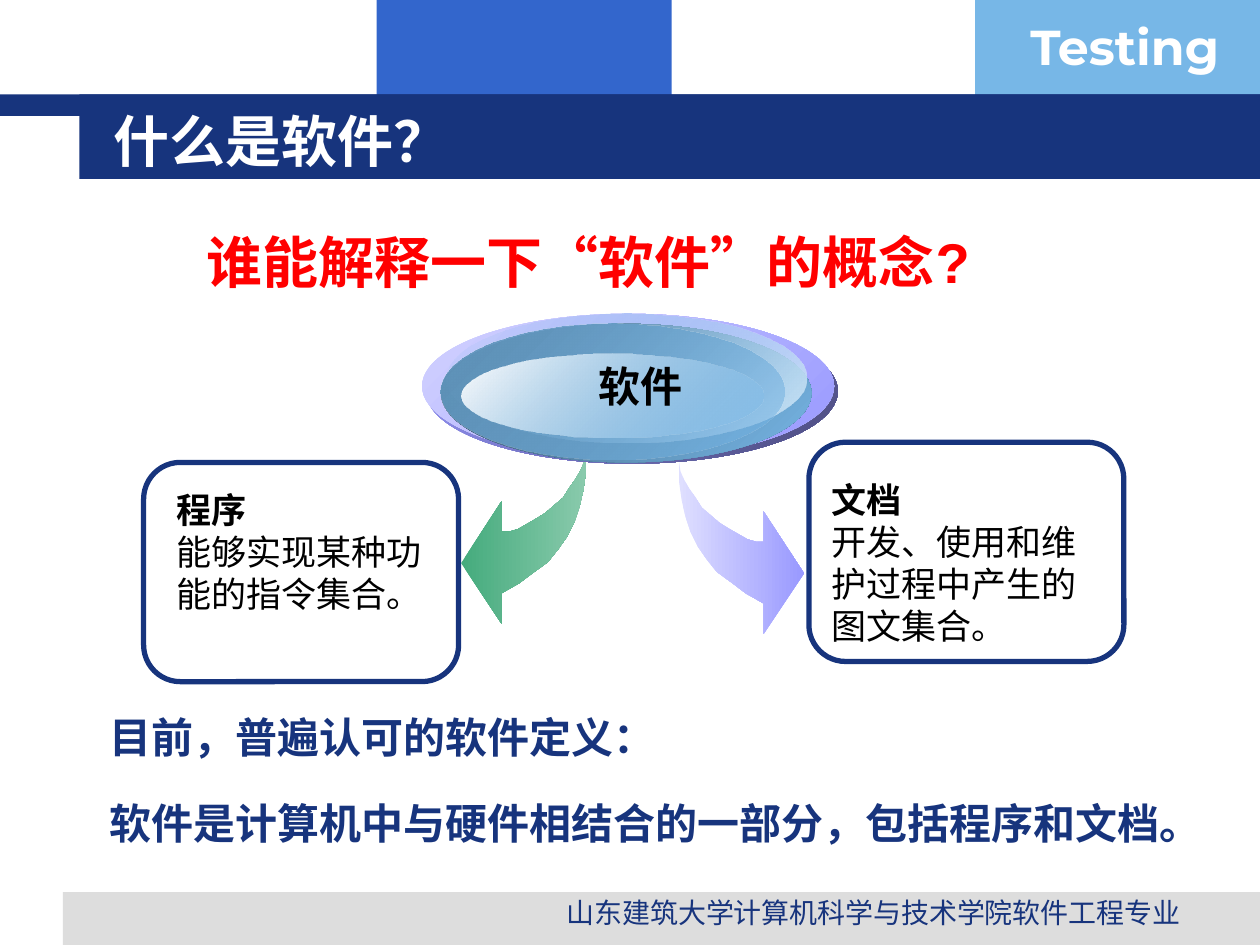
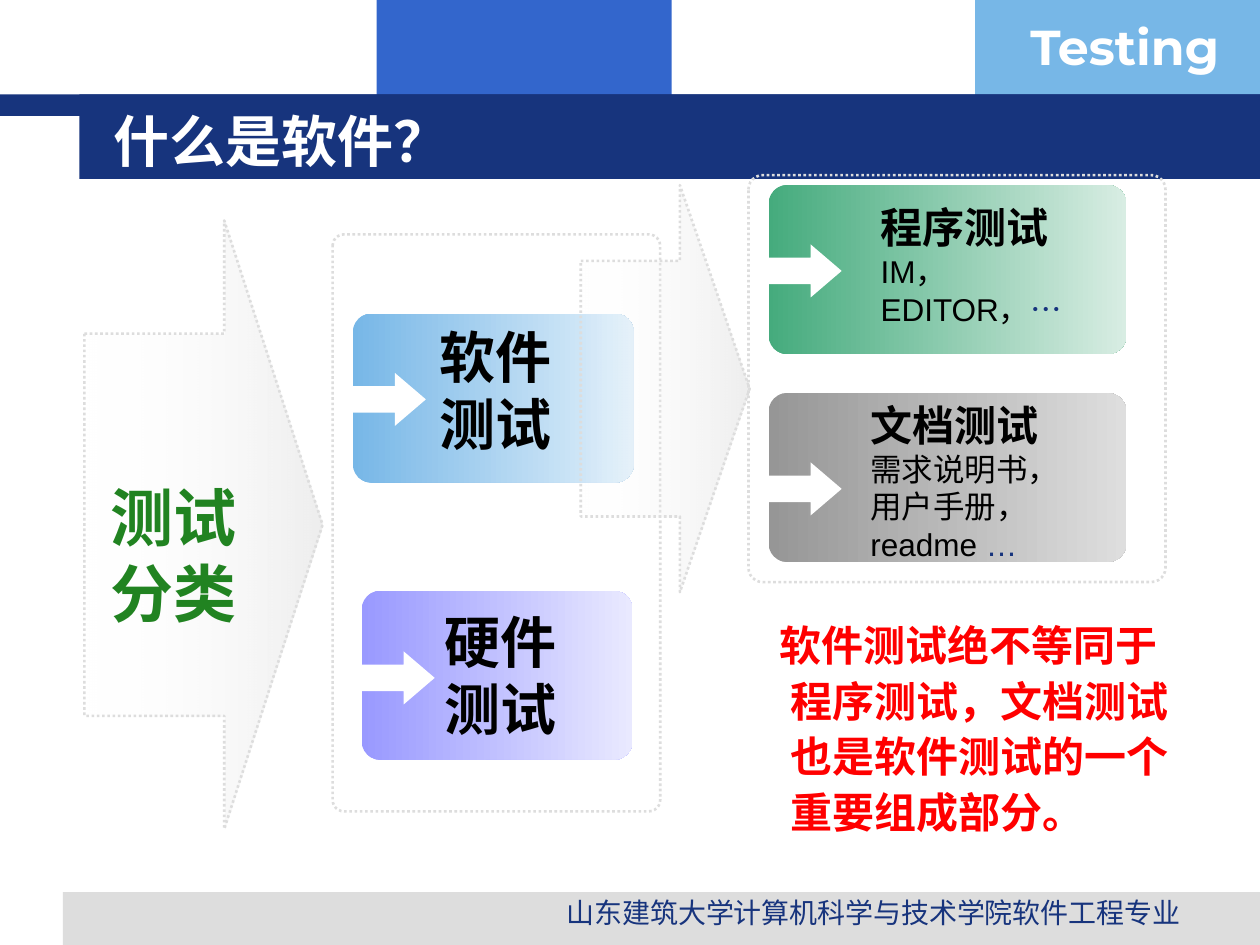
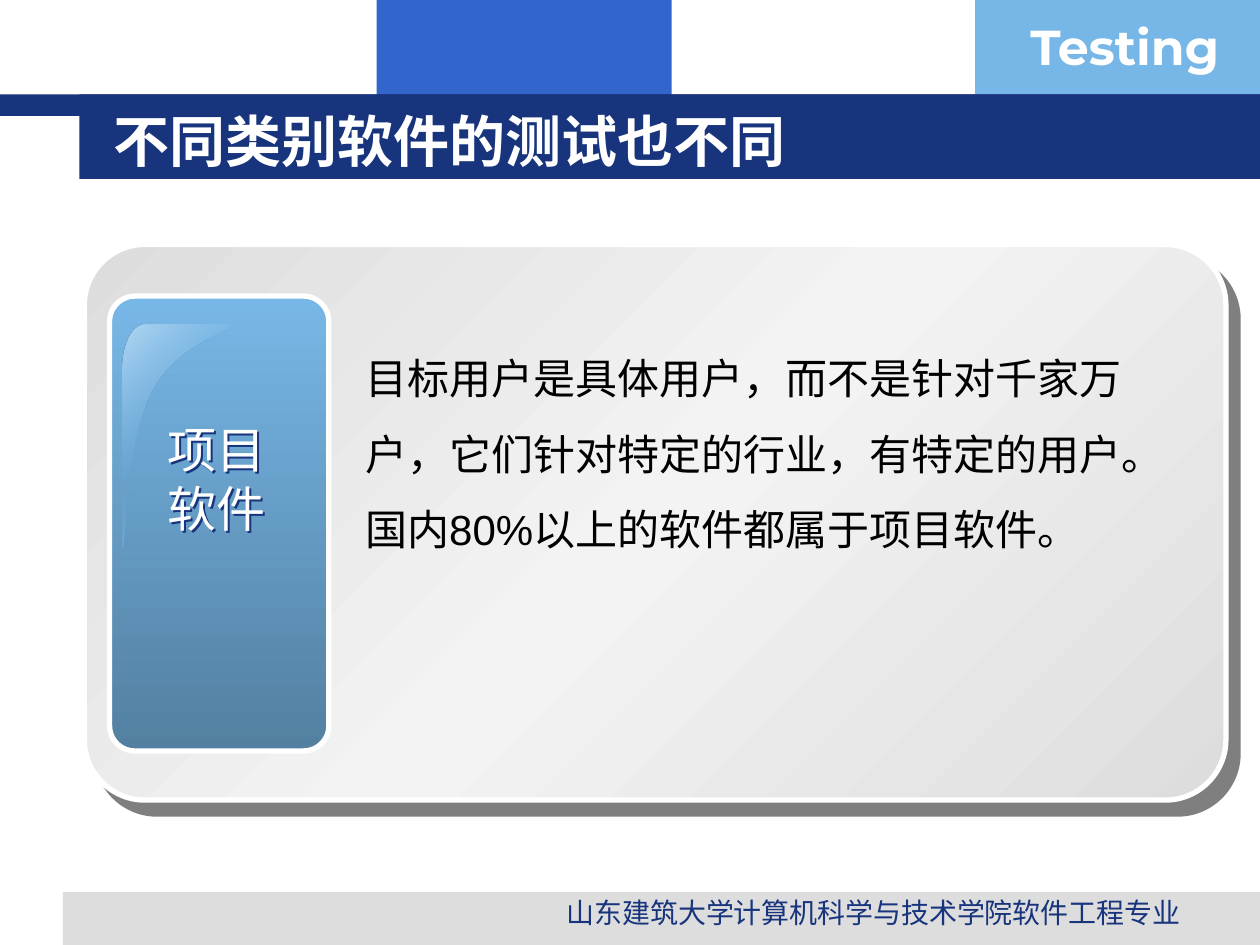
from lxml import etree
from pptx import Presentation
from pptx import util as u
from pptx.dml.color import RGBColor
from pptx.enum import dml, shapes, text
from pptx.oxml.ns import qn

COLORS = {
    "navy": "17347D", "blue": "3366CC", "sky": "77B7E7", "gray": "DDDDDD",
    "white": "FFFFFF", "black": "000000", "red": "FF0000", "leaf": "218321",
    "green": "45AB7D", "pale_green": "89CAAC", "mint": "D8EDE3",
    "violet": "9999FF", "pale_violet": "DFDFFF", "lilac": "D2D2FF",
    "mist": "E9E9FF", "indigo": "4A4A7C", "steel": "37556B",
    "mid_blue": "5E91B7", "deep_blue": "5380A1", "ice": "D0E6F7",
    "pale_sky": "E2F0FA", "shine": "B5D8F2", "stone": "969696",
    "pale_stone": "DEDEDE", "silver": "F3F3F3",
}
SHAPE = shapes.MSO_SHAPE
CENTER = {"alignment": text.PP_ALIGN.CENTER}
LEFT = {"alignment": text.PP_ALIGN.LEFT}
DARK = {"name": "Arial", "color": "black"}
GRAY_FADE = [(0, "white", 0), (100, "gray", 50)]
FOOTER = "山东建筑大学计算机科学与技术学院软件工程专业"


def rgb(name):
    return RGBColor.from_string(COLORS[name])


def inches(values):
    return [u.Inches(value) for value in values]


def add_color(parent, color, alpha=100):
    node = etree.SubElement(parent, qn("a:srgbClr"), val=COLORS[color])
    if alpha < 100:
        etree.SubElement(node, qn("a:alpha"), val=str(alpha * 1000))


def add_shadow(shape, color, alpha, distance, angle):
    shape.shadow.inherit = False
    effects = shape.element.spPr.find(qn("a:effectLst"))
    shadow = etree.SubElement(effects, qn("a:outerShdw"), blurRad="0",
                              dist=str(u.Pt(distance)), dir=str(angle * 60000),
                              algn="ctr", rotWithShape="0")
    add_color(shadow, color, alpha)


def set_gradient(shape, stops, angle):
    shape.fill.gradient()
    gradient = shape.element.spPr.find(qn("a:gradFill"))
    stop_list = gradient.find(qn("a:gsLst"))
    for stop in list(stop_list):
        stop_list.remove(stop)
    for position, *color in stops:
        stop = etree.SubElement(stop_list, qn("a:gs"), pos=str(position * 1000))
        add_color(stop, *color)
    gradient.find(qn("a:lin")).set("ang", str(angle * 60000))


def style_shape(shape, fill=None, angle=0, line=None, width=1.5, dotted=False):
    shape.shadow.inherit = False
    if fill is None:
        shape.fill.background()
    elif isinstance(fill, str):
        shape.fill.solid()
        shape.fill.fore_color.rgb = rgb(fill)
    else:
        set_gradient(shape, fill, angle)
    if line is None:
        shape.line.fill.background()
        return
    shape.line.color.rgb = rgb(line)
    shape.line.width = u.Pt(width)
    if dotted:
        shape.line.dash_style = dml.MSO_LINE.ROUND_DOT


def add_preset(slide, kind, box, adjustments=(), **style):
    shape = slide.shapes.add_shape(kind, *inches(box))
    for index, value in enumerate(adjustments):
        shape.adjustments[index] = value
    style_shape(shape, **style)
    return shape


def add_outline(slide, points, **style):
    start, *others = [(u.Inches(x), u.Inches(y)) for x, y in points]
    builder = slide.shapes.build_freeform(*start, scale=1.0)
    builder.add_line_segments(others, close=True)
    style_shape(builder.convert_to_shape(), **style)


def curve(start, first, second, end, steps=16):
    points = []
    for step in range(1, steps + 1):
        t = step / steps
        weights = ((1 - t) ** 3, 3 * t * (1 - t) ** 2, 3 * t * t * (1 - t), t ** 3)
        points.append(tuple(sum(w * p[axis] for w, p in zip(weights, (start, first, second, end)))
                            for axis in (0, 1)))
    return points


def format_run(run, size, color, bold=False, name="Arial"):
    for attribute, value in {"name": name, "size": u.Pt(size), "bold": bold}.items():
        setattr(run.font, attribute, value)
    run.font.color.rgb = rgb(color)


def write_text(frame, paragraphs, layout=None, indent=None, plain=False, **font):
    for index, runs in enumerate(paragraphs):
        paragraph = frame.paragraphs[0] if index == 0 else frame.add_paragraph()
        properties = paragraph._p.get_or_add_pPr()
        properties.set("hangingPunct", "0")
        if plain:
            etree.SubElement(properties, qn("a:buNone"))
        if indent:
            for key, value in zip(("marL", "indent"), indent):
                properties.set(key, str(u.Inches(value)))
        for attribute, value in (layout or {}).items():
            if attribute != "space_before" or index:
                setattr(paragraph, attribute, value)
        for content, changes in ([(runs, {})] if isinstance(runs, str) else runs):
            run = paragraph.add_run()
            run.text = content
            format_run(run, **{**font, **changes})


def add_text(slide, box, paragraphs, wrap=True, **options):
    shape = slide.shapes.add_textbox(*inches(box))
    shape.text_frame.word_wrap = wrap
    write_text(shape.text_frame, paragraphs, **options)
    return shape


def fill_placeholder(placeholder, box, paragraphs, anchor, top_inset=0.05, **options):
    for attribute, value in zip(("left", "top", "width", "height"), inches(box)):
        setattr(placeholder, attribute, value)
    frame = placeholder.text_frame
    frame_format = {"auto_size": text.MSO_AUTO_SIZE.NONE, "vertical_anchor": anchor,
                    "margin_top": u.Inches(top_inset)}
    for attribute, value in frame_format.items():
        setattr(frame, attribute, value)
    write_text(frame, paragraphs, **options)


def add_slide(presentation, title, layout=1):
    slide = presentation.slides.add_slide(presentation.slide_layouts[layout])
    fill_placeholder(slide.shapes.title, (0.8, 0.8, 8.53, 0.62), [title],
                     text.MSO_ANCHOR.MIDDLE, layout=LEFT, size=32,
                     color="white", bold=True, name="DejaVu Sans")
    return slide


def add_body(slide, box, content, **options):
    fill_placeholder(slide.placeholders[1], box, [content], text.MSO_ANCHOR.TOP,
                     plain=True, bold=True, color="red", **options)


def decorate_master(presentation, slide):
    bands = [
        ((2.99, 0, 2.34, 0.92), "blue"), ((7.74, 0, 2.26, 0.92), "sky"),
        ((0.5, 7.08, 9.5, 0.42), "gray"), ((0, 0.75, 10, 0.17), "navy"),
        ((0.63, 0.75, 9.37, 0.67), "navy"),
    ]
    parts = [add_preset(slide, SHAPE.RECTANGLE, box, fill=color) for box, color in bands]
    parts.append(add_text(slide, (8.08, 0.08, 1.93, 0.57), ["Testing"],
                          size=28, color="white", bold=True, name="Montserrat"))
    parts.append(add_text(slide, (4.06, 7.06, 5.75, 0.31), [FOOTER],
                          layout=CENTER, size=16, color="navy"))
    for number, part in enumerate(parts, 20):
        part.element.nvSpPr.cNvPr.set("id", str(number))
        presentation.slide_master.shapes.element.append(part.element)


def add_definition_card(slide, card, box, heading, description):
    add_preset(slide, SHAPE.ROUNDED_RECTANGLE, card, [0.167], line="navy", width=3)
    add_text(slide, box, [[(heading, {"bold": True})], description], size=20, **DARK)


def add_swoosh_arrows(slide):
    left = [(4.65, 3.59), (4.65, 3.75), (4.63, 3.89), (4.6, 4.02), (4.56, 4.14),
            (4.5, 4.26), (4.43, 4.36), (4.35, 4.46), (4.24, 4.54), (4.12, 4.63),
            (3.98, 4.71), (3.98, 4.95), (3.66, 4.47), (3.98, 3.98), (3.98, 4.22),
            (4.04, 4.22), (4.11, 4.2), (4.18, 4.16), (4.25, 4.12), (4.33, 4.07),
            (4.4, 4.01), (4.47, 3.95), (4.52, 3.87), (4.57, 3.8), (4.61, 3.73),
            (4.64, 3.66)]
    right = [(10.04 - x, y + 0.08) for x, y in left]
    add_outline(slide, left, fill=[(0, "green"), (100, "pale_green")])
    add_outline(slide, right, fill=[(0, "pale_violet"), (100, "violet")])


def add_software_disc(slide):
    layers = [
        ((3.38, 2.53, 3.27, 1.15), ("violet",), ("indigo",)),
        ((3.35, 2.49, 3.27, 1.15), ("lilac",), ("violet",)),
        ((3.5, 2.57, 2.94, 1.1), ("steel",), ("sky",)),
        ((3.54, 2.49, 2.86, 1.02), ("sky", 0), ("ice",)),
        ((3.5, 2.57, 2.73, 1.08), ("mid_blue",), ("sky", 48)),
        ((3.66, 2.81, 2.4, 0.66), ("white",), ("sky", 38)),
    ]
    for box, start, end in layers:
        add_preset(slide, SHAPE.OVAL, box, fill=[(0, *start), (100, *end)], angle=45)
    add_text(slide, (4.53, 2.81, 1.1, 0.5), ["软件"], layout=CENTER,
             size=24, bold=True, **DARK)


def build_definition(slide):
    add_body(slide, (1.54, 1.86, 6.46, 0.79), "谁能解释一下“软件”的概念?",
             size=32, indent=(0.38, -0.38), layout={"line_spacing": 0.8})
    add_text(slide, (0.27, 5.4, 9.61, 1.57),
             ["目前，普遍认可的软件定义：",
              "软件是计算机中与硬件相结合的一部分，包括程序和文档。"],
             indent=(0.81, -0.31), size=24, color="navy", bold=True,
             layout={"line_spacing": 1.5, "space_before": u.Pt(6)})
    add_definition_card(slide, (6.42, 3.51, 2.5, 1.74), (6.5, 3.75, 2.23, 1.44),
                        "文档", "开发、使用和维护过程中产生的图文集合。")
    add_definition_card(slide, (1.14, 3.67, 2.5, 1.74), (1.3, 3.83, 2.23, 1.1),
                        "程序", "能够实现某种功能的指令集合。")
    add_swoosh_arrows(slide)
    add_software_disc(slide)


def add_frame(slide, box):
    add_preset(slide, SHAPE.ROUNDED_RECTANGLE, box, [0.035], line="gray", dotted=True)


def add_stage_arrow(slide, box):
    add_preset(slide, SHAPE.RIGHT_ARROW, box, [0.628, 0.413],
               fill=GRAY_FADE, line="gray", dotted=True)


def add_test_tile(slide, left, top, width, arrow_top, start, end):
    add_preset(slide, SHAPE.ROUNDED_RECTANGLE, (left, top, width, 1.34), [0.109],
               fill=[(0, start), (100, end)])
    add_preset(slide, SHAPE.RIGHT_ARROW, (left, arrow_top, 0.58, 0.42), [0.5, 0.584],
               fill="white")


def build_categories(slide):
    add_stage_arrow(slide, (0.67, 1.75, 1.89, 4.83))
    add_text(slide, (0.67, 3.75, 2.42, 1.3), ["测试", "分类"], indent=(0.11, 0),
             size=36, color="leaf", bold=True)
    add_frame(slide, (2.64, 1.86, 2.6, 4.58))
    add_test_tile(slide, 2.8, 2.49, 2.23, 2.96, "sky", "pale_sky")
    add_test_tile(slide, 2.87, 4.69, 2.15, 5.17, "violet", "mist")
    for box, kind in [((3.43, 4.77, 1.18, 1.17), "硬件"), ((3.39, 2.51, 1.22, 1.17), "软件")]:
        add_text(slide, box, [kind, "测试"], size=32, bold=True, **DARK)
    add_test_tile(slide, 6.1, 1.47, 2.84, 1.94, "green", "mint")
    add_test_tile(slide, 6.1, 3.12, 2.84, 3.67, "stone", "pale_stone")
    add_stage_arrow(slide, (4.61, 1.47, 1.34, 3.23))
    heading = {"size": 24, "bold": True}
    ellipsis = ("…", {"color": "navy"})
    add_text(slide, (6.89, 1.55, 1.89, 1.1),
             [[("程序测试", heading)], [("IM，EDITOR，", {}), ellipsis]], size=18, **DARK)
    add_text(slide, (6.81, 3.12, 1.89, 1.4),
             [[("文档测试", heading)], "需求说明书，用户手册，", [("readme ", {}), ellipsis]],
             size=18, **DARK)
    add_frame(slide, (5.94, 1.39, 3.31, 3.23))
    add_body(slide, (5.79, 4.69, 3.62, 2.12),
             "软件测试绝不等同于程序测试，文档测试也是软件测试的一个重要组成部分。",
             size=24, indent=(0.38, -0.08), layout={"line_spacing": 1.1}, top_inset=0.19)


def add_shine(slide):
    corner, base, bend, tip = (1.15, 2.58), (0.97, 4.35), (1.21, 3.1), (1.83, 2.58)
    points = [corner, *curve(corner, (1.05, 2.58), (0.97, 2.74), (0.97, 2.93)), base,
              *curve(base, (1.01, 4.38), (0.99, 3.51), bend),
              *curve(bend, (1.43, 2.7), (1.84, 2.66), tip)]
    add_outline(slide, points, angle=45,
                fill=[(0, "shine"), (50, "sky", 0), (100, "shine")])


def build_project_software(slide):
    panel = add_preset(slide, SHAPE.ROUNDED_RECTANGLE, (0.67, 1.94, 9.06, 4.41), [0.109],
                       fill=[(0, "gray"), (50, "silver"), (100, "gray")],
                       angle=45, line="white", width=3)
    add_shadow(panel, "black", 50, 10.6, 49)
    add_preset(slide, SHAPE.ROUNDED_RECTANGLE, (0.87, 2.35, 1.74, 3.61), [0.115],
               fill=[(0, "sky"), (100, "deep_blue")], angle=90, line="white", width=3)
    add_shine(slide)
    label = add_text(slide, (1.21, 3.28, 1.01, 1.04), ["项目", "软件"], wrap=False,
                     layout=CENTER, size=28, color="white")
    add_shadow(label, "navy", 100, 2, 45)
    add_text(slide, (2.8, 2.55, 6.69, 1.9),
             ["目标用户是具体用户，而不是针对千家万户，它们针对特定的行业，"
              "有特定的用户。国内80%以上的软件都属于项目软件。"],
             layout={"line_spacing": 1.5}, size=24, **DARK)


def main():
    presentation = Presentation()
    presentation.slide_width, presentation.slide_height = inches((10, 7.5))
    definition = add_slide(presentation, "什么是软件？")
    decorate_master(presentation, definition)
    build_definition(definition)
    build_categories(add_slide(presentation, "什么是软件？"))
    build_project_software(add_slide(presentation, "不同类别软件的测试也不同", layout=5))
    presentation.save("out.pptx")


if __name__ == "__main__":
    main()
